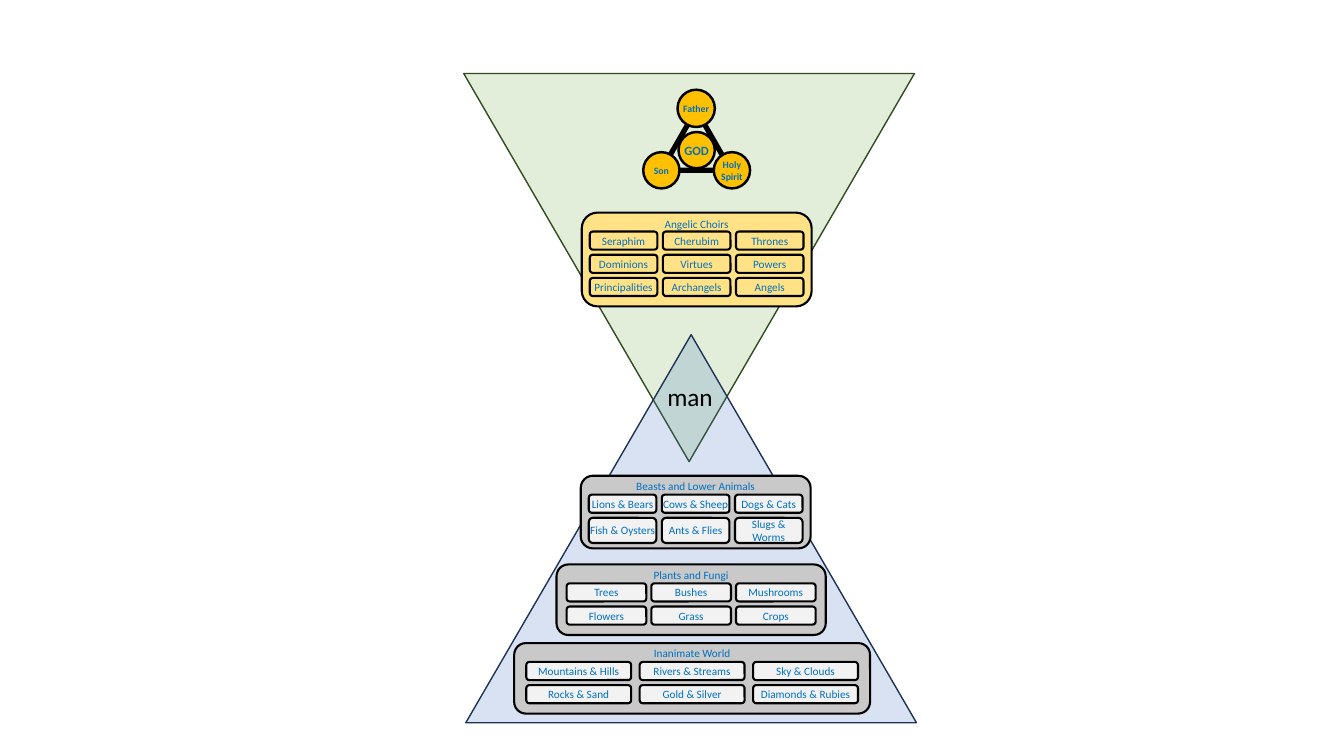
from lxml import etree
from pptx import Presentation
from pptx import util as u
from pptx.dml.color import RGBColor
from pptx.enum import shapes, text
from pptx.oxml.ns import qn

COLORS = {
    "green": "70AD47", "moss": "314C1F", "blue": "4472C4", "navy": "1E3256",
    "gold": "FFC000", "cream": "FFE285", "gray": "C9C9C9", "pale": "F2F2F2",
    "ink": "0070C0", "black": "000000",
}
FORM = shapes.MSO_SHAPE
CELL = 0.1


class Board:
    """Draws on one slide, with lengths counted in grid cells of a tenth of an inch."""

    def __init__(self, deck):
        self.slide = deck.slides.add_slide(deck.slide_layouts[6])
        self.font = "Calibri"

    def place(self, *cells):
        return [u.Inches(n * CELL) for n in cells]

    def tint(self, name):
        return RGBColor.from_string(COLORS[name])

    def group(self):
        return self.slide.shapes.add_group_shape().shapes

    def letter(self, frame, words, size, color, bold=False):
        para = frame.paragraphs[0]
        para.text = words
        font = para.font
        font.name, font.size, font.bold = self.font, u.Pt(size), bold
        font.color.rgb = self.tint(color)
        return para

    def shape(self, home, form, box, fill, line="black", width=1.5):
        item = home.add_shape(form, *self.place(*box))
        item.shadow.inherit = False
        if fill:
            item.fill.solid()
            item.fill.fore_color.rgb = self.tint(fill)
        else:
            item.fill.background()
        item.line.color.rgb = self.tint(line)
        item.line.width = u.Pt(width)
        return item

    def realm(self, box, fill, line, flip=False):
        item = self.shape(self.slide.shapes, FORM.ISOSCELES_TRIANGLE, box, fill, line, 1)
        color = item._element.spPr.find(qn("a:solidFill"))[0]
        etree.SubElement(color, qn("a:alpha")).set("val", "20000")
        if flip:
            item._element.spPr.find(qn("a:xfrm")).set("flipV", "1")

    def label(self, home, form, box, fill, words, size=8, bold=False, width=1.5, top=False):
        frame = self.shape(home, form, box, fill, width=width).text_frame
        frame.margin_left = frame.margin_right = 0
        frame.margin_top = frame.margin_bottom = 0
        frame.word_wrap = True
        anchor = text.MSO_ANCHOR
        frame.vertical_anchor = anchor.TOP if top else anchor.MIDDLE
        para = self.letter(frame, words, size, "ink", bold)
        para.alignment = text.PP_ALIGN.CENTER

    def panel(self, title, box, pad, wide, fills, rows, tall=(1.8, 1.8, 1.8)):
        home = self.group()
        left, top, width, _ = box
        self.label(home, FORM.ROUNDED_RECTANGLE, box, fills[0], title, top=True)
        step = (width - 2 * pad - wide) / 2
        for row, names in enumerate(rows):
            for col, name in enumerate(names):
                spot = (left + pad + col * step, top + 1.87 + row * 2.3, wide, tall[row])
                self.label(home, FORM.ROUNDED_RECTANGLE, spot, fills[1], name)

    def trinity(self, frame, discs):
        home = self.group()
        self.shape(home, FORM.ISOSCELES_TRIANGLE, frame, None, width=3.75)
        for name, left, top, side, size in discs:
            box = (left, top, side, side)
            self.label(home, FORM.OVAL, box, "gold", name, size, True, 1.75)

    def note(self, box, words, size):
        frame = self.slide.shapes.add_textbox(*self.place(*box)).text_frame
        frame.word_wrap = False
        frame.auto_size = text.MSO_AUTO_SIZE.SHAPE_TO_FIT_TEXT
        self.letter(frame, words, size, "black")


def main():
    deck = Presentation()
    deck.slide_width, deck.slide_height = u.Inches(13.33), u.Inches(7.5)
    board = Board(deck)
    board.realm((46, 7.3, 44.7, 38.5), "green", "moss", flip=True)
    board.realm((46.2, 33.2, 44.7, 38.5), "blue", "navy")
    board.trinity((65.6, 10.9, 6.9, 6), [
        ("Father", 67.2, 8.9, 3.7, 7),
        ("Son", 63.8, 15.1, 3.6, 7),
        ("Holy Spirit", 70.8, 15.1, 3.6, 7),
        ("GOD", 67.3, 13.1, 3.6, 9),
    ])
    board.panel("Angelic Choirs", (57.7, 21.1, 22.8, 9.3), 0.8, 6.7, ("cream", "cream"), [
        ("Seraphim", "Cherubim", "Thrones"),
        ("Dominions", "Virtues", "Powers"),
        ("Principalities", "Archangels", "Angels"),
    ])
    board.note((65.2, 37.3, 6.6, 4), "man", 18)
    earth = ("gray", "pale")
    board.panel("Beasts and Lower Animals", (57.6, 47.2, 22.8, 7.2), 0.8, 6.7, earth, [
        ("Lions & Bears", "Cows & Sheep", "Dogs & Cats"),
        ("Fish & Oysters", "Ants & Flies", "Slugs & Worms"),
    ], tall=(1.8, 2.5))
    board.panel("Plants and Fungi", (55.2, 56, 26.7, 7), 1, 7.9, earth, [
        ("Trees", "Bushes", "Mushrooms"),
        ("Flowers", "Grass", "Crops"),
    ])
    board.panel("Inanimate World", (51, 63.8, 35.3, 7), 1.2, 10.4, earth, [
        ("Mountains & Hills", "Rivers & Streams", "Sky & Clouds"),
        ("Rocks & Sand", "Gold & Silver", "Diamonds & Rubies"),
    ])
    deck.save("out.pptx")


if __name__ == "__main__":
    main()
